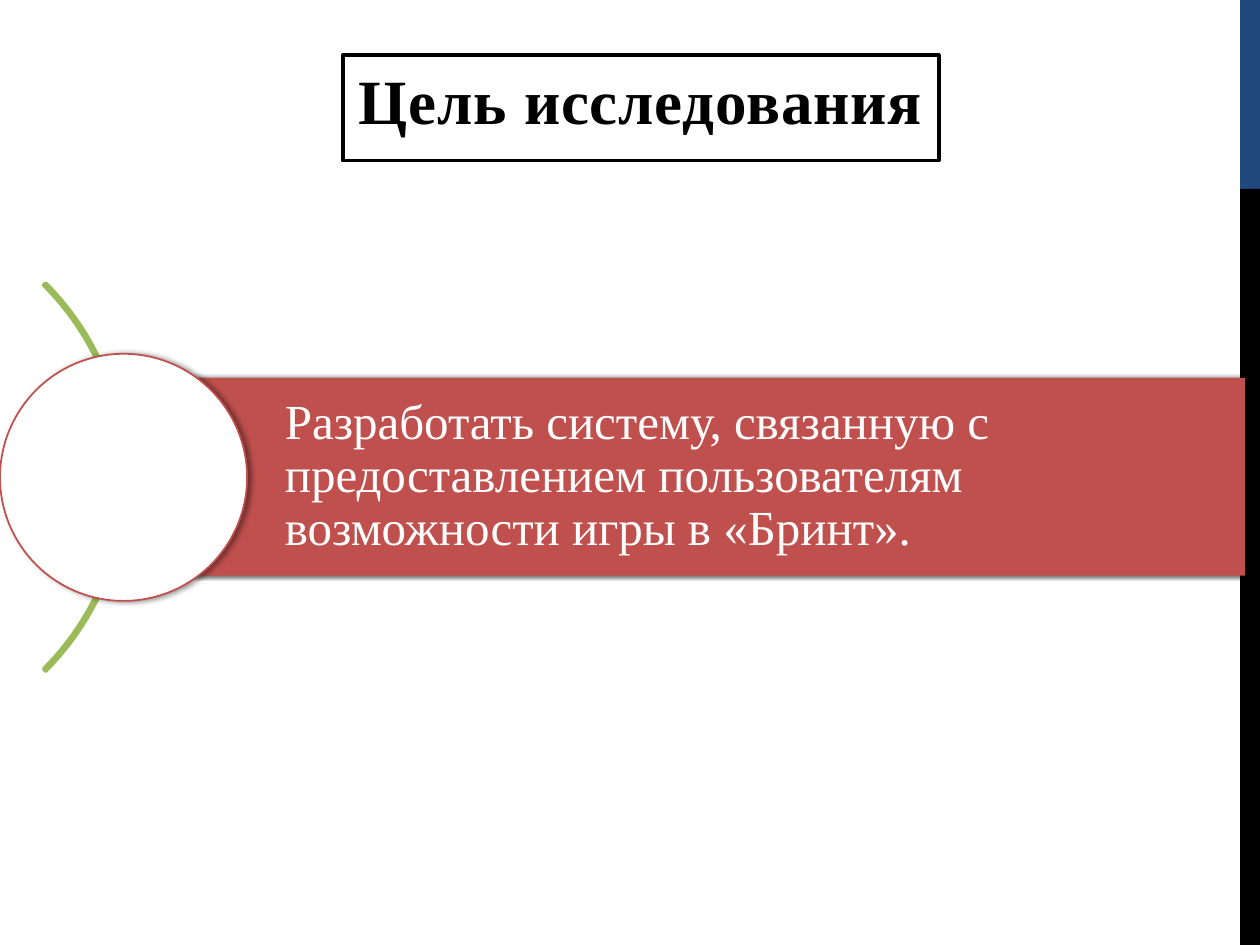
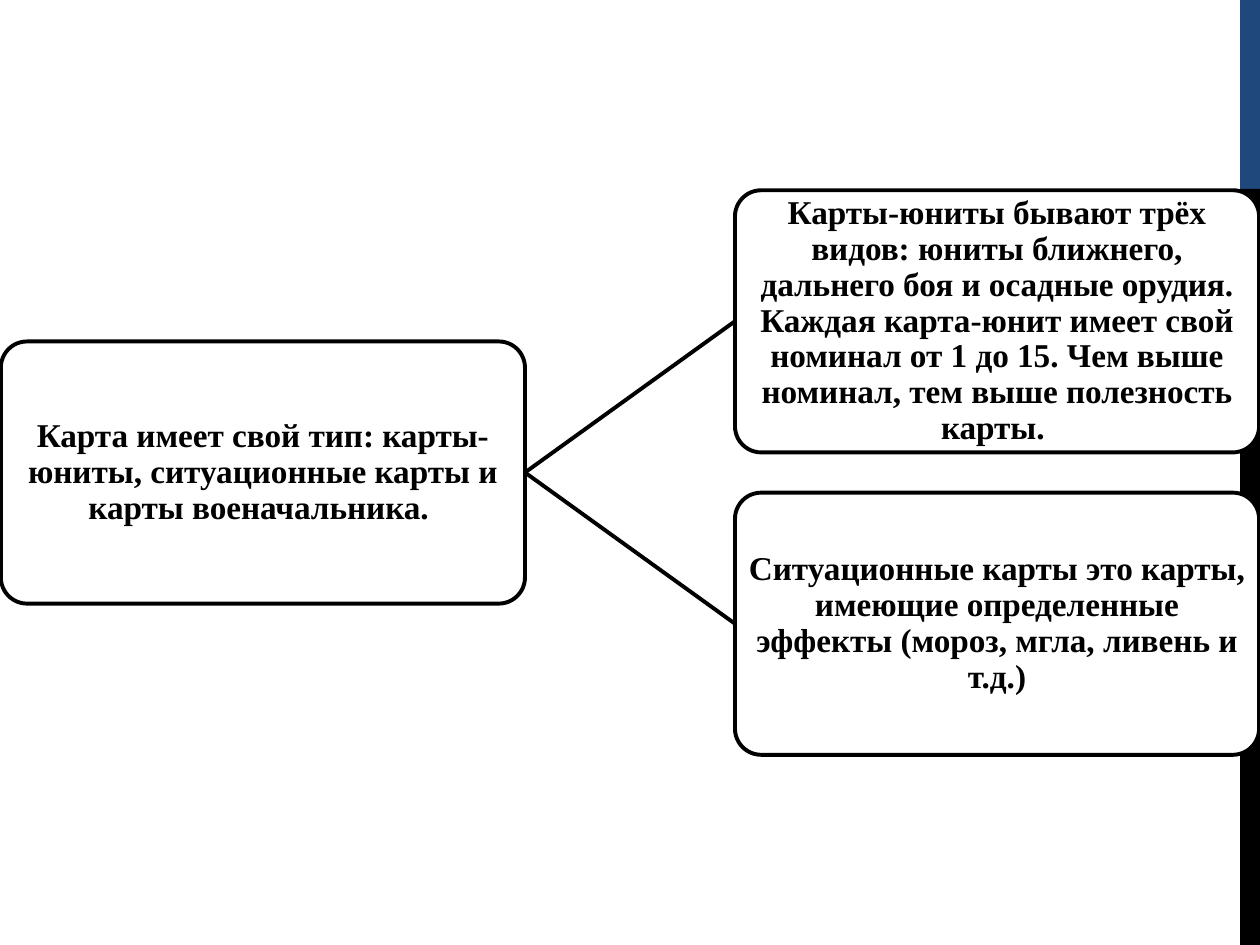
from lxml import etree
from pptx import Presentation
from pptx.dml.color import RGBColor
from pptx.enum.shapes import MSO_CONNECTOR as Connector, MSO_SHAPE as Shape
from pptx.enum.text import MSO_ANCHOR as Anchor, MSO_AUTO_SIZE as AutoSize, PP_ALIGN as Align
from pptx.oxml.ns import qn
from pptx.util import Pt

WHITE = RGBColor(0xFF, 0xFF, 0xFF)
BLACK = RGBColor(0x00, 0x00, 0x00)
NAVY = RGBColor(0x1F, 0x49, 0x7D)
RED = RGBColor(0xC0, 0x50, 0x4D)
GREEN = RGBColor(0x9B, 0xBB, 0x59)
FONT = "Times New Roman"
TITLE_ONLY, BLANK = 5, 6


def style(shape, fill=None, line=None, width=2.25, shadow=None):
    """Set fill and outline; shadow is (opacity %, blur, distance)."""
    if fill is None:
        shape.fill.background()
    else:
        shape.fill.solid()
        shape.fill.fore_color.rgb = fill
    if line is None:
        shape.line.fill.background()
    else:
        shape.line.color.rgb = line
        shape.line.width = Pt(width)
    effects = shape.element.spPr.find(qn("a:effectLst"))
    if effects is None:
        shape.shadow.inherit = False
        effects = shape.element.spPr.find(qn("a:effectLst"))
    if shadow:
        opacity, blur, distance = shadow
        outer = etree.SubElement(effects, qn("a:outerShdw"), blurRad=str(Pt(blur)),
                                 dist=str(Pt(distance)), dir="0", rotWithShape="0")
        color = etree.SubElement(outer, qn("a:srgbClr"), val=str(BLACK))
        etree.SubElement(color, qn("a:alpha"), val=str(opacity * 1000))


def write(shape, text, size, color=BLACK, bold=False, align=Align.CENTER, anchor=Anchor.MIDDLE,
          insets=(7.2, 3.6, 7.2, 3.6), line_spacing=0.9, wrap=True, character_spacing=0):
    frame = shape.text_frame
    frame.word_wrap = wrap
    frame.vertical_anchor = anchor
    frame.margin_left, frame.margin_top, frame.margin_right, frame.margin_bottom = map(Pt, insets)
    paragraph = frame.paragraphs[0]
    paragraph.alignment = align
    paragraph.line_spacing = line_spacing
    run = paragraph.add_run()
    run.text = text
    run.font.name = FONT
    run.font.size = Pt(size)
    run.font.bold = bold
    run.font.color.rgb = color
    if character_spacing:
        run.font._element.set("spc", str(int(character_spacing * 100)))


presentation = Presentation()
presentation.slide_width, presentation.slide_height = Pt(720), Pt(540)
goal_slide = presentation.slides.add_slide(presentation.slide_layouts[TITLE_ONLY])
cards_slide = presentation.slides.add_slide(presentation.slide_layouts[BLANK])

# Side bands, shared through the slide master
master_tree = presentation.slide_master.shapes.element
for number, (top, height, color) in enumerate([(0, 108, NAVY), (108, 432, BLACK)]):
    band = goal_slide.shapes.add_shape(Shape.RECTANGLE, Pt(708.6), Pt(top), Pt(11.4), Pt(height))
    style(band, color)
    band.element.nvSpPr.cNvPr.set("id", str(101 + number))
    master_tree.append(band.element)

# Slide 1: boxed title
title = goal_slide.shapes.title
title.left, title.top, title.width, title.height = Pt(195.8), Pt(31.7), Pt(340.6), Pt(51)
style(title, WHITE, BLACK)
write(title, "Цель исследования", 36, bold=True, anchor=Anchor.TOP, line_spacing=1.0,
      wrap=False, character_spacing=0.5)
title.text_frame.auto_size = AutoSize.SHAPE_TO_FIT_TEXT

# Slide 1: arc, bar with the goal, and circle
arc = goal_slide.shapes.add_shape(Shape.BLOCK_ARC, Pt(-241.2), Pt(116), Pt(313.2), Pt(313.2))
for index, value in enumerate([189, 27, 0.005]):
    arc.adjustments[index] = value
style(arc, line=GREEN)

bar = goal_slide.shapes.add_shape(Shape.RECTANGLE, Pt(70.6), Pt(216), Pt(640.8), Pt(113))
style(bar, RED, shadow=(60, 3, 1.5))
write(bar, "Разработать систему, связанную с предоставлением пользователям "
      "возможности игры в «Бринт».", 28, color=WHITE, align=Align.LEFT, insets=(92.2, 6, 6, 6))

circle = goal_slide.shapes.add_shape(Shape.OVAL, Pt(0), Pt(202.2), Pt(141.2), Pt(141.2))
style(circle, WHITE, RED, width=1, shadow=(40, 3.1, 1.8))

# Slide 2: card types, a root node and its two branches
NODE_WIDTH, NODE_HEIGHT = 299.5, 149.8
ROOT_LEFT, BRANCH_LEFT = 0.5, 420
MIDDLE, BRANCH_OFFSET = 270, 86.4
card_nodes = [
    (ROOT_LEFT, MIDDLE,
     "Карта имеет свой тип: карты-юниты, ситуационные карты и карты военачальника. "),
    (BRANCH_LEFT, MIDDLE - BRANCH_OFFSET,
     "Карты-юниты бывают трёх видов: юниты ближнего, дальнего боя и осадные орудия. "
     "Каждая карта-юнит имеет свой номинал от 1 до 15. Чем выше номинал, тем выше "
     "полезность карты. "),
    (BRANCH_LEFT, MIDDLE + BRANCH_OFFSET,
     "Ситуационные карты это карты, имеющие определенные эффекты (мороз, мгла, ливень и т.д.)"),
]
nodes = []
for left, center, text in card_nodes:
    node = cards_slide.shapes.add_shape(Shape.ROUNDED_RECTANGLE, Pt(left),
                                        Pt(center - NODE_HEIGHT / 2),
                                        Pt(NODE_WIDTH), Pt(NODE_HEIGHT))
    node.adjustments[0] = 0.1
    style(node, WHITE, BLACK)
    write(node, text, 19, bold=True, insets=(0.7, 0.7, 0.7, 0.7))
    nodes.append(node)

root, *branches = nodes
for branch in branches:
    link = cards_slide.shapes.add_connector(Connector.STRAIGHT, 0, 0, 0, 0)
    link.begin_connect(root, 3)
    link.end_connect(branch, 1)
    link.line.color.rgb = BLACK
    link.line.width = Pt(2.25)
    etree.SubElement(link.element.spPr, qn("a:effectLst"))

presentation.save("out.pptx")
